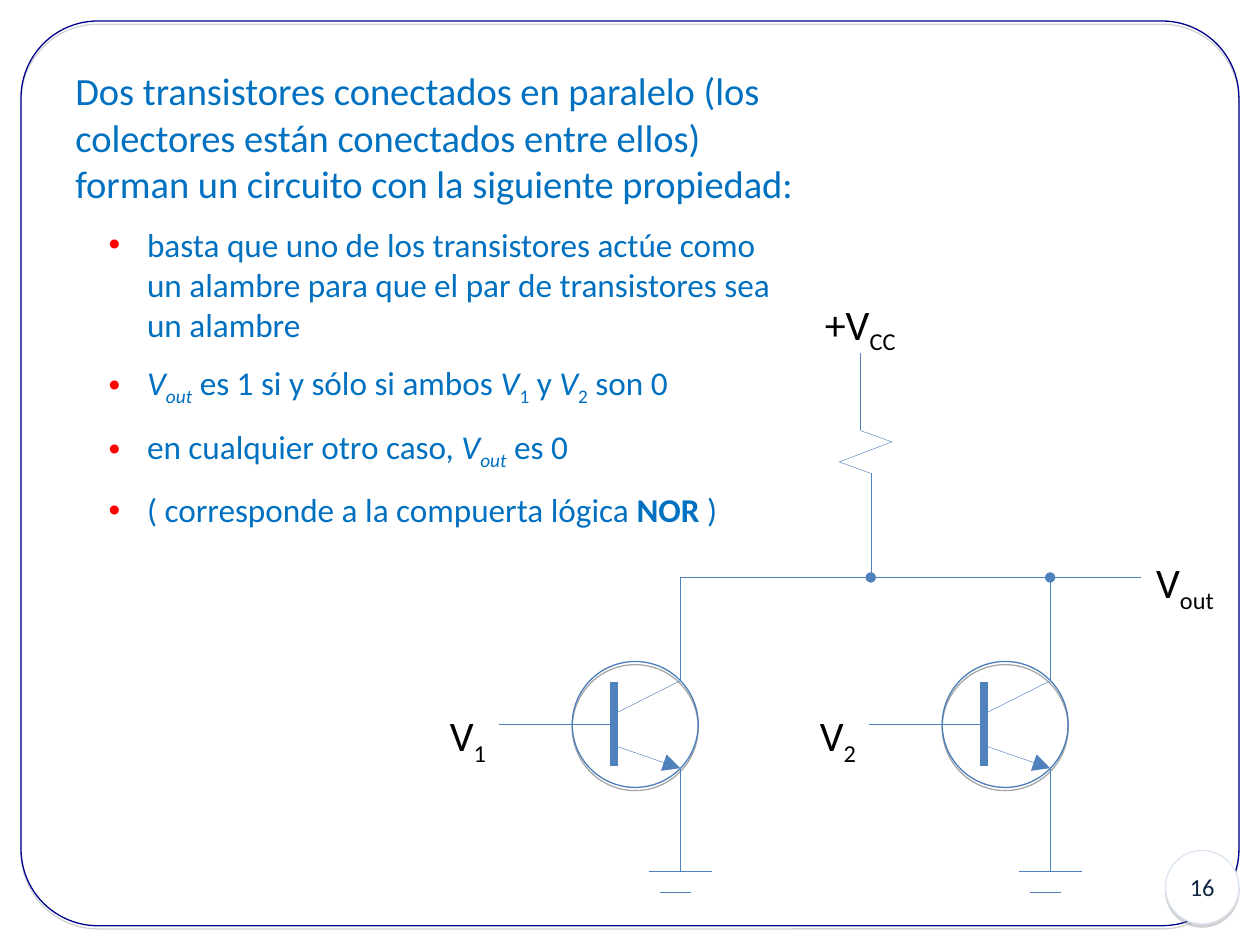
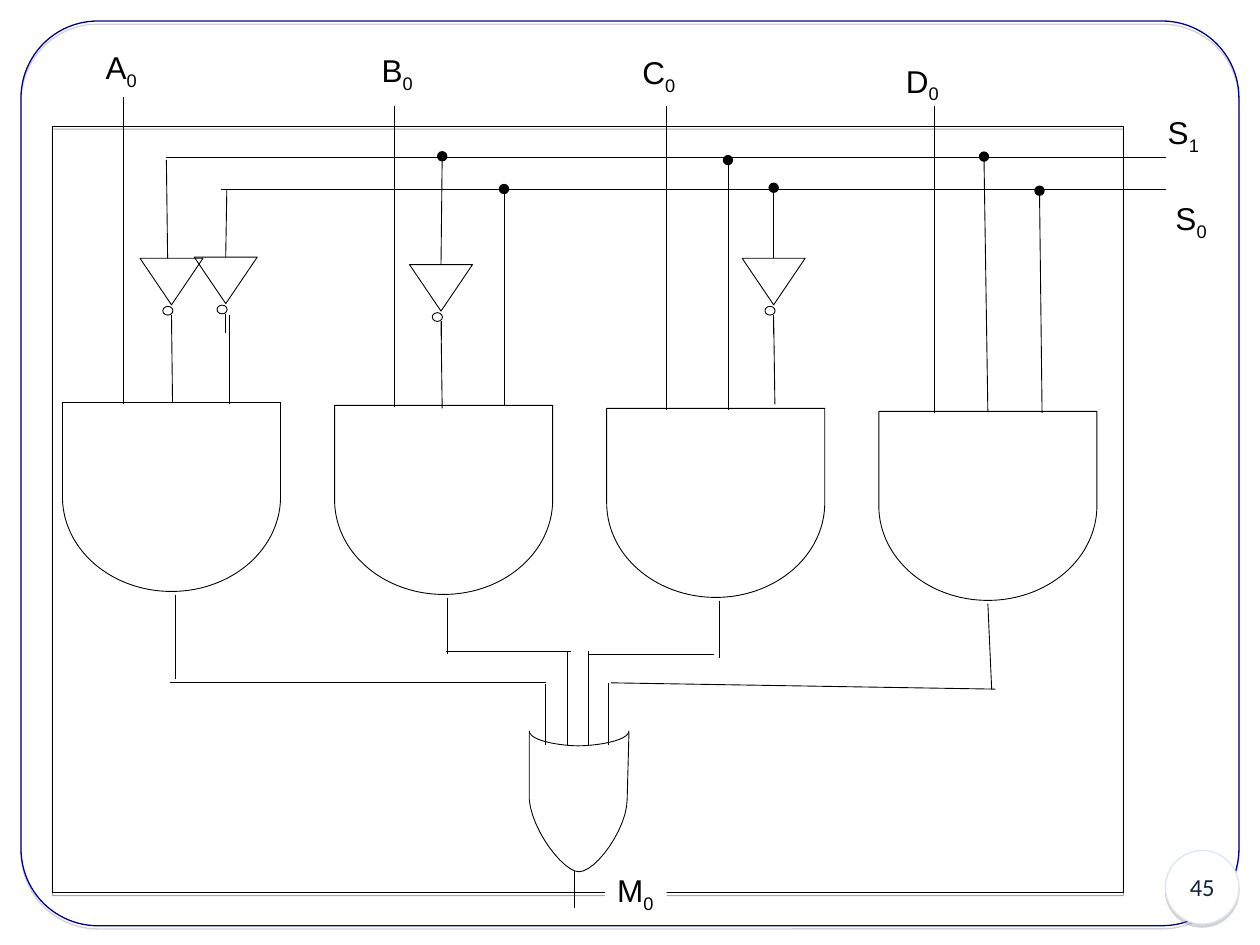
import pptx
import pptx.dml.color
import pptx.enum.shapes
import pptx.enum.text
import pptx.oxml.ns
import pptx.util
from lxml import etree

Pt = pptx.util.Pt
SHAPES = pptx.enum.shapes.MSO_SHAPE
ANCHOR = pptx.enum.text.MSO_ANCHOR
AUTO_SIZE = pptx.enum.text.MSO_AUTO_SIZE
ALIGN = pptx.enum.text.PP_ALIGN

COLOURS = {
    "frame": "000090", "shadow": "808080", "badge": "FFFFFF", "badge_line": "DCE6F2",
    "badge_text": "10253F", "circuit": "4F81BD", "circle": "4A7EBB", "body": "0070C0",
    "bullet": "FF0000", "ink": "000000",
}
MARKS = {"i": {"italic": True}, "b": {"bold": True}, "s": {}}
ENDS = {"oval": {"type": "oval"}, "triangle": {"type": "triangle", "w": "lg", "len": "lg"}}
GATE_WIDTH, GATE_HEIGHT = 124.6, 108


def colour(name):
    """Return the named colour as an RGB value."""
    return pptx.dml.color.RGBColor.from_string(COLOURS[name])


def apply(target, values):
    """Set every attribute in the dict on the target."""
    for name, value in values.items():
        setattr(target, name, value)


def element(parent, tag, **attributes):
    """Append a drawing element with its attributes to the parent."""
    return etree.SubElement(parent, pptx.oxml.ns.qn(tag), attributes)


def wire(slide, origin, start, end, ink="ink", width=0.5, head=None, tail=None):
    """Draw a straight line between two points measured from the origin."""
    left, top = origin
    connector = slide.shapes.add_connector(
        pptx.enum.shapes.MSO_CONNECTOR.STRAIGHT,
        Pt(left + start[0]), Pt(top + start[1]), Pt(left + end[0]), Pt(top + end[1]))
    connector.line.color.rgb = colour(ink)
    connector.line.width = Pt(width)
    line_element = connector.line._get_or_add_ln()
    for tag, kind in (("a:headEnd", head), ("a:tailEnd", tail)):
        if kind:
            element(line_element, tag, **ENDS[kind])
    element(connector._element.spPr, "a:effectLst")


def finish(shape, line=None, width=0.5, fill=None, shadow=None):
    """Give a shape its fill, outline and optional drop shadow."""
    shape.shadow.inherit = False
    if fill:
        shape.fill.solid()
        shape.fill.fore_color.rgb = colour(fill)
    else:
        shape.fill.background()
    if line:
        shape.line.color.rgb = colour(line)
        shape.line.width = Pt(width)
    else:
        shape.line.fill.background()
    if shadow:
        effects = shape._element.spPr.find(pptx.oxml.ns.qn("a:effectLst"))
        outer = element(effects, "a:outerShdw", blurRad="0", dist=str(Pt(1.8)),
                        dir="5400000", rotWithShape="0")
        tint = element(outer, "a:srgbClr", val=COLOURS[shadow])
        element(tint, "a:alpha", val="35000")
    return shape


def outline(slide, kind, box, **look):
    """Add a preset shape in a box of points and finish it."""
    return finish(slide.shapes.add_shape(kind, *map(Pt, box)), **look)


def write(paragraph, runs, size, name, ink):
    """Write runs of text, each with marks for italic, bold or subscript."""
    for text, marks in runs:
        run = paragraph.add_run()
        run.text = text
        apply(run.font, {"size": Pt(size), "name": name})
        run.font.color.rgb = colour(ink)
        for mark in marks:
            apply(run.font, MARKS[mark])
        if "s" in marks:
            run._r.get_or_add_rPr().set("baseline", "-25000")


def label(slide, box, text, subscript, size=18, name="Arial", fill=None):
    """Place a signal name with its subscript."""
    if fill:
        shape = outline(slide, SHAPES.RECTANGLE, box, fill=fill)
    else:
        shape = slide.shapes.add_textbox(*map(Pt, box))
    apply(shape.text_frame, {"word_wrap": False, "auto_size": AUTO_SIZE.SHAPE_TO_FIT_TEXT,
                             "vertical_anchor": ANCHOR.TOP})
    paragraph = shape.text_frame.paragraphs[0]
    paragraph.alignment = ALIGN.LEFT
    write(paragraph, [(text, ""), (subscript, "s")], size, name, "ink")


def framed_slide(presentation, number):
    """Add a blank slide with the rounded frame and the number badge."""
    slide = presentation.slides.add_slide(presentation.slide_layouts[6])
    frame = outline(slide, SHAPES.ROUNDED_RECTANGLE, (12, 12, 696, 517),
                    line="frame", width=0.75, shadow="shadow")
    frame.adjustments[0] = 0.085
    badge = outline(slide, SHAPES.OVAL, (666, 486, 42, 42), line="badge_line",
                    width=0.75, fill="badge", shadow="shadow")
    apply(badge.text_frame, {"vertical_anchor": ANCHOR.MIDDLE, "word_wrap": True})
    paragraph = badge.text_frame.paragraphs[0]
    paragraph.alignment = ALIGN.CENTER
    write(paragraph, [(number, "")], 14, "Calibri", "badge_text")
    return slide


def explanation(slide, box):
    """Write the lead sentence and its bullets."""
    lead = ("Dos transistores conectados en paralelo (los colectores están conectados "
            "entre ellos) forman un circuito con la siguiente propiedad:")
    bullets = [
        [("basta que uno de los transistores actúe como un alambre para que el par "
          "de transistores sea un alambre", "")],
        [("V", "i"), ("out", "is"), (" es 1 si y sólo si ambos ", ""), ("V", "i"), ("1", "s"),
         (" y ", ""), ("V", "i"), ("2", "s"), (" son 0", "")],
        [("en cualquier otro caso, ", ""), ("V", "i"), ("out", "is"), (" es 0", "")],
        [("( corresponde a la compuerta lógica ", ""), ("NOR", "b"), (" )", "")],
    ]
    frame = slide.shapes.add_textbox(*map(Pt, box)).text_frame
    apply(frame, {"word_wrap": True, "vertical_anchor": ANCHOR.MIDDLE})
    write(frame.paragraphs[0], [(lead, "")], 22, "Calibri", "body")
    for runs in bullets:
        paragraph = frame.add_paragraph()
        apply(paragraph, {"level": 1, "space_before": Pt(10.5)})
        properties = paragraph._p.get_or_add_pPr()
        for name, value in {"marL": Pt(41), "indent": Pt(-22)}.items():
            properties.set(name, str(value))
        element(element(properties, "a:buClr"), "a:srgbClr", val=COLOURS["bullet"])
        element(properties, "a:buFont", typeface="Arial")
        element(properties, "a:buChar", char="•")
        write(paragraph, runs, 19, "Calibri", "body")


def transistor(slide, left, top, subscript, joint=None):
    """Draw a grounded transistor with its input label."""
    outline(slide, SHAPES.OVAL, (left, top, 72, 72), line="circle", width=0.75, shadow="ink")
    base, collector, emitter = 24, (61.7, 11), (61.7, 61)
    leads = [
        ((base, 12), (base, 60), 4.5, None),
        ((base, 36), (-42, 36), 0.25, None),
        ((base, 30), collector, 0.25, None),
        ((base, 48), emitter, 0.25, "triangle"),
        (collector, (61.7, -48), 0.25, joint),
        (emitter, (61.7, 120), 0.25, None),
        ((44, 120), (80, 120), 0.25, None),
        ((50, 132), (68, 132), 0.25, None),
    ]
    for start, end, width, tail in leads:
        wire(slide, (left, top), start, end, "circuit", width, tail=tail)
    label(slide, (left - 77, top + 24, 35, 40), "V", subscript, 24, "Calibri")


def supply(slide, left, top):
    """Draw the supply label, the resistor and the output line."""
    label(slide, (left - 27.3, top - 35, 55, 40), "+V", "CC", 24, "Calibri")
    zigzag = [(0, 0), (0, 44), (18, 50.5), (-12, 62), (6, 68.5)]
    for start, end in zip(zigzag, zigzag[1:]):
        wire(slide, (left, top), start, end, "circuit", 0.25)
    wire(slide, (left, top), (6, 128), zigzag[-1], "circuit", 0.25, head="oval")
    wire(slide, (left, top), (160.5, 128), (-103, 128), "circuit", 0.25)
    label(slide, (left + 162, top + 112.5, 50, 40), "V", "out", 24, "Calibri")


def inverter(slide, left, top, input_start, input_end, head=None):
    """Draw a pointing-down inverter with its input line and stub."""
    wire(slide, (left, top), input_start, (input_end, 0), head=head)
    wire(slide, (left, top), (18, 32.4), (18, 43.2))
    outline(slide, SHAPES.OVAL, (left + 13, top + 27.5, 5.8, 5), line="ink")
    triangle = outline(slide, SHAPES.ISOSCELES_TRIANGLE, (left, top, 36, 26.6), line="ink")
    triangle.rotation = 180


def and_gate(slide, left, top, input_x, input_height, stem_x, stem_end):
    """Draw an AND gate facing down with its data input and output stem."""
    inset = (GATE_WIDTH - GATE_HEIGHT) / 2
    body = outline(slide, SHAPES.FLOWCHART_DELAY,
                   (left + inset, top - inset, GATE_HEIGHT, GATE_WIDTH), line="ink")
    body.rotation = 90
    wire(slide, (left, top), (input_x, -input_height), (input_x, 1))
    wire(slide, (left, top), (stem_x, 109.8), stem_end)


def bezier(start, first, second, end, steps=12):
    """Return points along a cubic curve, without its start."""
    return [tuple((1 - t) ** 3 * a + 3 * t * (1 - t) ** 2 * b + 3 * t * t * (1 - t) * c + t ** 3 * d
                  for a, b, c, d in zip(start, first, second, end))
            for t in (step / steps for step in range(1, steps + 1))]


def or_gate(slide, left, top):
    """Draw the OR gate facing down with its leads."""
    body = [(57, 1), (56, 39)]
    body += bezier(body[-1], (56, 56), (38, 80.6), (28.5, 80.6))
    body += bezier(body[-1], (19.5, 80.6), (1.5, 57), (0, 39)) + [(0, 1)]
    lip = [(0, 0)] + bezier((0, 0), (0, 6), (19, 8.6), (28, 8.6))
    lip += bezier(lip[-1], (37.5, 8.6), (57, 6), (57, 0))
    for curve in (body, lip):
        points = [(Pt(left + x), Pt(top + y)) for x, y in curve]
        builder = slide.shapes.build_freeform(*points[0])
        builder.add_line_segments(points[1:], close=False)
        finish(builder.convert_to_shape(), line="ink")
    for x, start in ((9.4, -27), (21.6, -45.4), (33.8, -45.4), (45.4, -27.4)):
        wire(slide, (left, top), (x, start), (x, 8))
    wire(slide, (left, top), (26, 80), (26, 101))


def selector_lines(slide, left, top):
    """Draw the two select lines with the taps that reach the gates."""
    wire(slide, (left, top), (0, 0), (571, 0))
    wire(slide, (left, top), (31, 18), (571, 18))
    taps = [((193, 18), (193, 142)), ((321, 1.5), (321, 144)),
            ((467.3, -0.5), (469.5, 145.5)), ((499, 19), (500.5, 146))]
    for start, end in taps:
        wire(slide, (left, top), start, end, head="oval")


def nor_slide(presentation):
    """Build the slide on two transistors in parallel."""
    slide = framed_slide(presentation, "16")
    transistor(slide, 327, 378, "1")
    transistor(slide, 538.4, 378, "2", joint="oval")
    supply(slide, 491.6, 202)
    explanation(slide, (36, 21.6, 424.8, 298))


def multiplexer_slide(presentation):
    """Build the slide on the four-input multiplexer."""
    slide = framed_slide(presentation, "45")
    gates = [(35, 174.5, 64.4, (64.4, 158)), (34.2, 171.2, 64.4, (64.4, 142)),
             (34.2, 173, 64.4, (64.4, 142.4)), (32, 174.6, 62.3, (64.5, 158.7))]
    for index, gate in enumerate(gates):
        and_gate(slide, 35.7 + 155.5 * index, 230 + 1.7 * index, *gate)
    selector_lines(slide, 95, 90)
    inverters = [(80, 147.6, (15.1, -56.2), 15.8), (111, 146.9, (18.6, -38.2), 18),
                 (234, 151.2, (18.7, -61.9), 18, "oval"), (424.1, 147.6, (18, -40.3), 18, "oval")]
    for parts in inverters:
        inverter(slide, *parts)
    for start, end in [((98, 180), (98.6, 230.4)), ((131, 180), (131, 231)),
                       ((252, 183.6), (252.7, 233.3)), ((442.1, 181.4), (442.8, 231.1)),
                       ((254.9, 372.2), (326.2, 372.2)), ((336.2, 373.7), (408.2, 373.7)),
                       ((97.2, 390.2), (311.8, 390.2)), ((349.2, 390.2), (568.8, 393.8))]:
        wire(slide, (0, 0), start, end)
    or_gate(slide, 302.4, 417.6)
    for left, top, text, subscript in [(53.3, 23.8, "A", "0"), (211, 25.9, "B", "0"),
                                       (360, 26.6, "C", "0"), (510.5, 31.7, "D", "0"),
                                       (660.2, 61.2, "S", "1"), (664.6, 110.2, "S", "0")]:
        label(slide, (left, top, 35, 31.7), text, subscript)
    outline(slide, SHAPES.RECTANGLE, (30, 72, 612, 438), line="ink", shadow="ink")
    label(slide, (345.6, 494, 35.3, 31.7), "M", "0", fill="badge")


def main():
    """Build and save the presentation."""
    presentation = pptx.Presentation()
    apply(presentation, {"slide_width": Pt(720), "slide_height": Pt(540)})
    nor_slide(presentation)
    multiplexer_slide(presentation)
    presentation.save("out.pptx")


if __name__ == "__main__":
    main()
